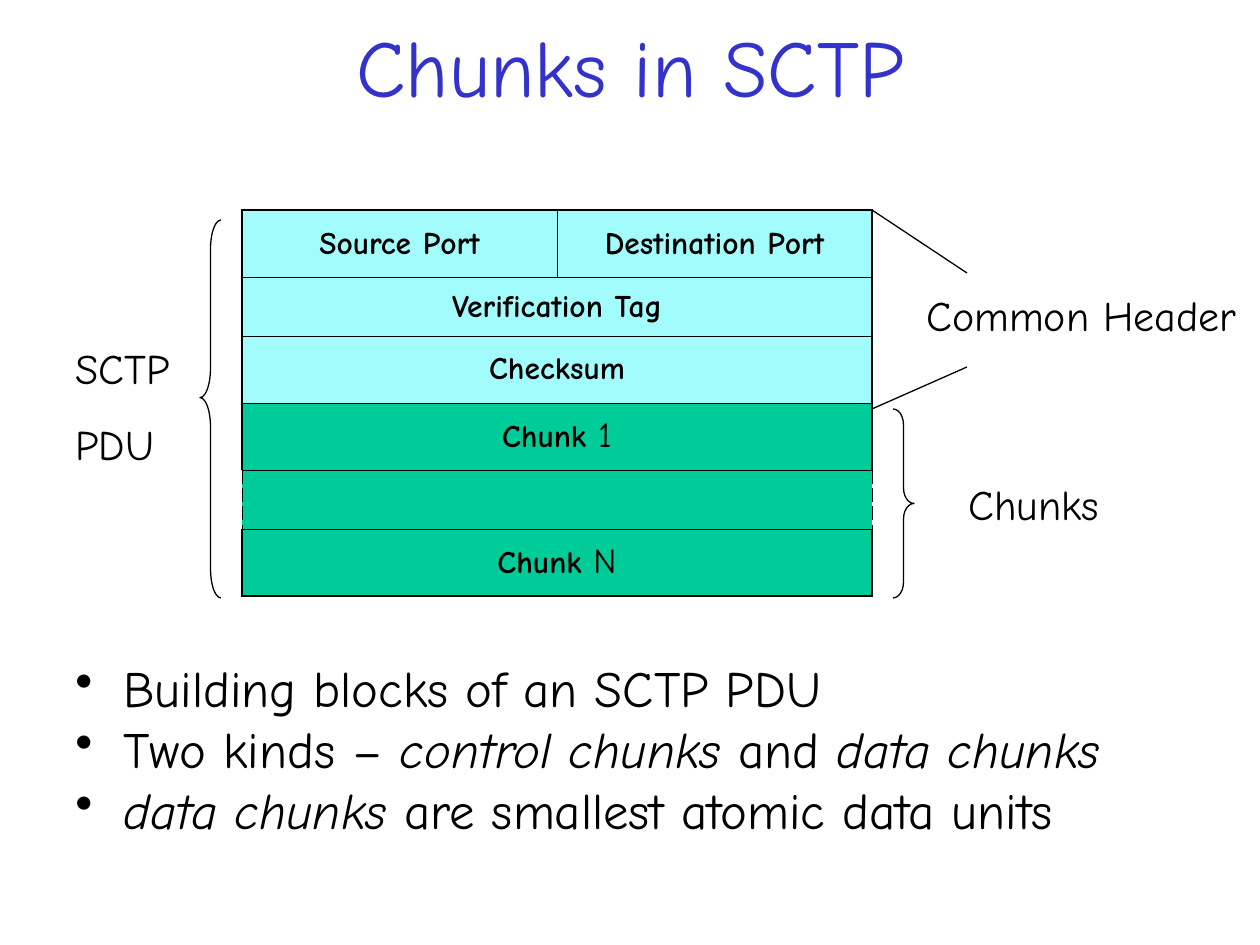
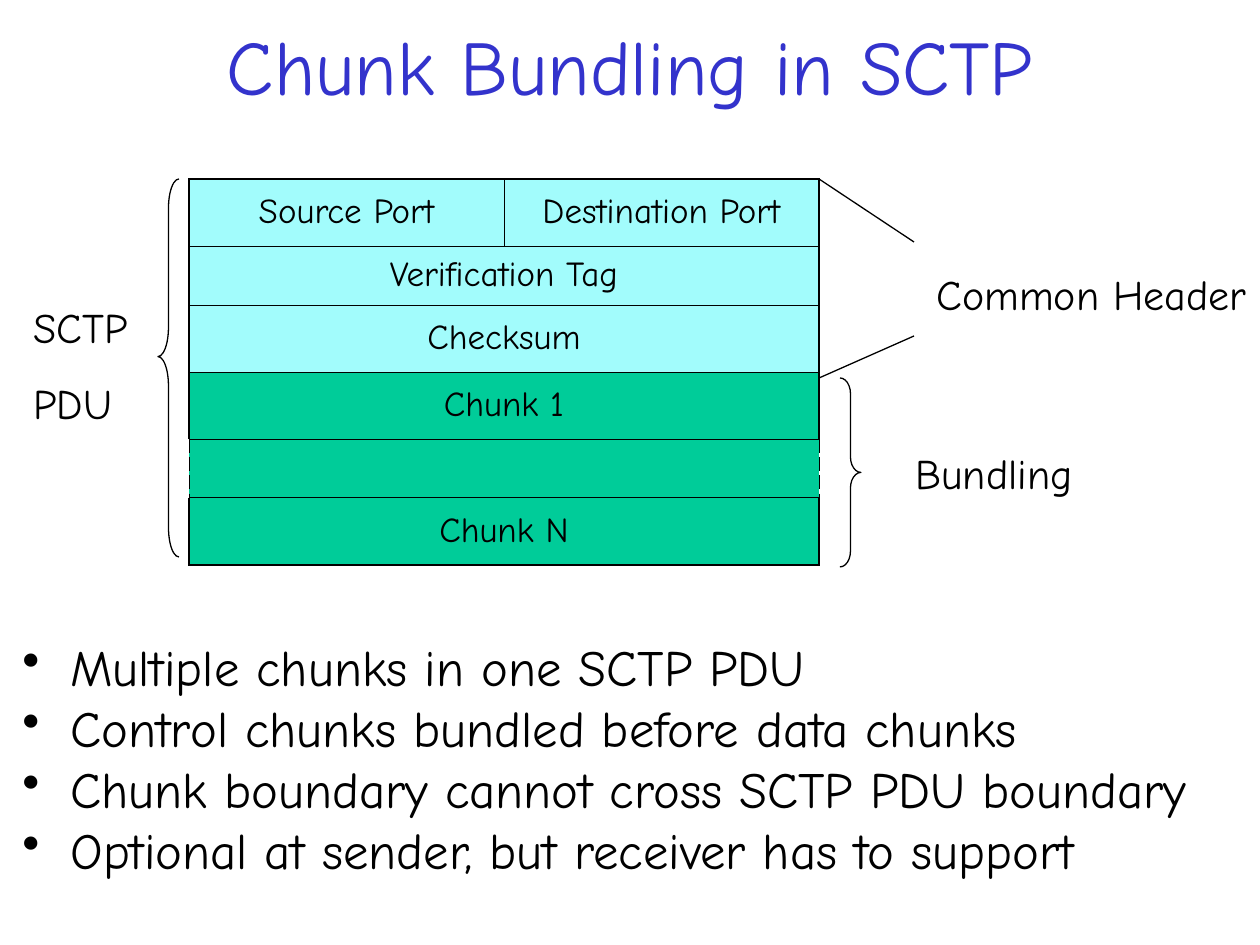
from lxml import etree
from pptx import Presentation
from pptx.dml.color import RGBColor
from pptx.enum.shapes import MSO_CONNECTOR, MSO_SHAPE
from pptx.enum.text import MSO_ANCHOR as ANCHOR, PP_ALIGN as ALIGN
from pptx.oxml import parse_xml
from pptx.oxml.ns import nsdecls, qn
from pptx.util import Emu, Pt

FONT = "Comic Neue"
BLACK, TITLE_BLUE = "000000", "3333CC"
HEADER_CYAN, CHUNK_GREEN = "A2FCFC", "00CC99"
THICK, THIN = 1.08, 0.45
BOLD = dict(size=18, bold=True)
ITALIC = dict(italic=True)

ROW_HEIGHTS = [67, 59, 67, 67, 59, 67]
PDU_ROWS = [["Source Port", "Destination Port"], ["Verification Tag"], ["Checksum"],
            ["Chunk 1"], [""], ["Chunk N"]]
HEADER_ROWS = 3
COLUMN = 315


def px(n):
    return Emu(round(n * 914400 / 126))


def rgb(color):
    return RGBColor.from_string(color)


def write(tf, paras, size=24, color=BLACK, align=ALIGN.LEFT, before=0, bullet=False):
    """Each paragraph is a list of runs: plain text or (text, format)."""
    for i, runs in enumerate(paras):
        p = tf.paragraphs[0] if i == 0 else tf.add_paragraph()
        p.alignment = align
        if i and before:
            p.space_before = Pt(before)
        if bullet:
            add_bullet(p)
        for run in runs:
            text, extra = (run, {}) if isinstance(run, str) else run
            r = p.add_run()
            r.text = text
            r.font.name = FONT
            r.font.size = Pt(extra.get("size", size))
            r.font.bold = extra.get("bold", False)
            r.font.italic = extra.get("italic", False)
            r.font.color.rgb = rgb(color)


def add_bullet(p):
    pPr = p._p.get_or_add_pPr()
    pPr.set("marL", str(px(48)))
    pPr.set("indent", str(-px(48)))
    pPr.append(parse_xml(f'<a:buClr {nsdecls("a")}><a:srgbClr val="{BLACK}"/></a:buClr>'))
    etree.SubElement(pPr, qn("a:buChar")).set("char", "•")


def add_text(s, x, y, w, h, paras, anchor=ANCHOR.TOP, **fmt):
    tf = s.shapes.add_textbox(px(x), px(y), px(w), px(h)).text_frame
    tf.word_wrap = True
    tf.vertical_anchor = anchor
    write(tf, paras, **fmt)


def add_title(s, text, size):
    add_text(s, 95, 10, 1071, 110, [[text]], ANCHOR.MIDDLE,
             size=size, color=TITLE_BLUE, align=ALIGN.CENTER)


def add_line(s, x1, y1, x2, y2):
    line = s.shapes.add_connector(MSO_CONNECTOR.STRAIGHT, px(x1), px(y1), px(x2), px(y2))
    line.line.color.rgb = rgb(BLACK)
    line.line.width = Pt(0.75)
    etree.SubElement(line._element.spPr, qn("a:effectLst"))


def add_brace(s, kind, x, y, h, curve, tip):
    sp = s.shapes.add_shape(kind, px(x), px(y), px(21), px(h))
    sp.shadow.inherit = False
    sp.fill.background()
    sp.line.color.rgb = rgb(BLACK)
    sp.line.width = Pt(0.75)
    sp.adjustments[0], sp.adjustments[1] = curve, tip


def set_borders(cell, left, right, top, bottom, side_dash):
    """Border lines stand ahead of the fill in the cell properties."""
    tcPr = cell._tc.get_or_add_tcPr()
    sides = [("L", left, side_dash), ("R", right, side_dash),
             ("T", top, "solid"), ("B", bottom, "solid")]
    for i, (side, width, dash) in enumerate(sides):
        tcPr.insert(i, parse_xml(
            f'<a:ln{side} {nsdecls("a")} w="{Pt(width)}"><a:solidFill>'
            f'<a:srgbClr val="{BLACK}"/></a:solidFill><a:prstDash val="{dash}"/></a:ln{side}>'))


def bold_words(label):
    """Words are bold; gaps and single-character numbers stay regular."""
    first, gap, last = label.partition(" ")
    if len(last) > 1:
        return [(first, BOLD), gap, (last, BOLD)]
    return [(first, BOLD)] + ([gap + last] if last else [])


def add_pdu_table(s, x, y, label_runs):
    rows = len(PDU_ROWS)
    table = s.shapes.add_table(rows, 2, px(x), px(y), px(2 * COLUMN),
                               px(sum(ROW_HEIGHTS))).table
    table.first_row = table.horz_banding = False
    for col in table.columns:
        col.width = px(COLUMN)
    for i, labels in enumerate(PDU_ROWS):
        table.rows[i].height = px(ROW_HEIGHTS[i])
        merged = len(labels) == 1
        if merged:
            table.cell(i, 0).merge(table.cell(i, 1))
        elided = labels == [""]
        edge = THIN if elided else THICK
        for j in range(2):
            cell = table.cell(i, j)
            cell.fill.solid()
            cell.fill.fore_color.rgb = rgb(HEADER_CYAN if i < HEADER_ROWS else CHUNK_GREEN)
            cell.vertical_anchor = ANCHOR.MIDDLE
            set_borders(cell,
                        left=edge if merged or j == 0 else THIN,
                        right=edge if merged or j == 1 else THIN,
                        top=THICK if i == 0 else THIN,
                        bottom=THICK if i == rows - 1 else THIN,
                        side_dash="dash" if elided else "solid")
            if j < len(labels) and labels[j]:
                write(cell.text_frame, [label_runs(labels[j])], size=20, align=ALIGN.CENTER)


def add_pdu_diagram(s, x, y, label_runs, pdu_at, header_at, chunks_label):
    """PDU table with its callouts; the two label offsets are from the table corner."""
    add_pdu_table(s, x, y, label_runs)
    right, header_end = x + 2 * COLUMN, y + 199

    # Common header callout
    add_line(s, right, y, right + 95, y + 63)
    add_line(s, right, header_end, right + 95, header_end - 42)
    add_text(s, x + header_at[0], y + header_at[1], 346, 63, [["Common Header"]])

    # Chunks brace
    add_brace(s, MSO_SHAPE.RIGHT_BRACE, right + 21, header_end, 189, 0.75, 0.5)
    add_text(s, right + 84, header_end + 63, 210, 63, [[chunks_label]])

    # Whole PDU brace
    brace_x, brace_y = x + pdu_at[0], y + pdu_at[1]
    add_brace(s, MSO_SHAPE.LEFT_BRACE, brace_x, brace_y, 378, 1.4, 0.47)
    add_text(s, brace_x - 137, brace_y + 116, 210, 140, [["SCTP"], ["PDU"]], before=15)


def add_bullets(s, x, y, w, h, items):
    add_text(s, x, y, w, h, items, size=29, bullet=True)


def chunks_slide(s):
    add_title(s, "Chunks in SCTP", 46)
    add_pdu_diagram(s, 242, 210, bold_words, (-42, 10), (672, 73), "Chunks")
    add_bullets(s, 63, 651, 1134, 242, [
        ["Building blocks of an SCTP PDU"],
        ["Two kinds – ", ("control chunks ", ITALIC), "and", (" data chunks", ITALIC)],
        [("data chunks", ITALIC), " are smallest atomic data units"],
    ])


def bundling_slide(s):
    add_title(s, "Chunk Bundling in SCTP", 44)
    add_pdu_diagram(s, 189, 179, lambda label: [label], (-31, 0), (735, 83), "Bundling")
    add_bullets(s, 10, 630, 1250, 284, [
        ["Multiple chunks in one SCTP PDU"],
        ["Control chunks bundled before data chunks"],
        ["Chunk boundary cannot cross SCTP PDU boundary"],
        ["Optional at sender, but receiver has to support"],
    ])


def main():
    prs = Presentation()
    prs.slide_width, prs.slide_height = px(1260), px(945)
    for build in (chunks_slide, bundling_slide):
        build(prs.slides.add_slide(prs.slide_layouts[6]))
    prs.save("out.pptx")


if __name__ == "__main__":
    main()
